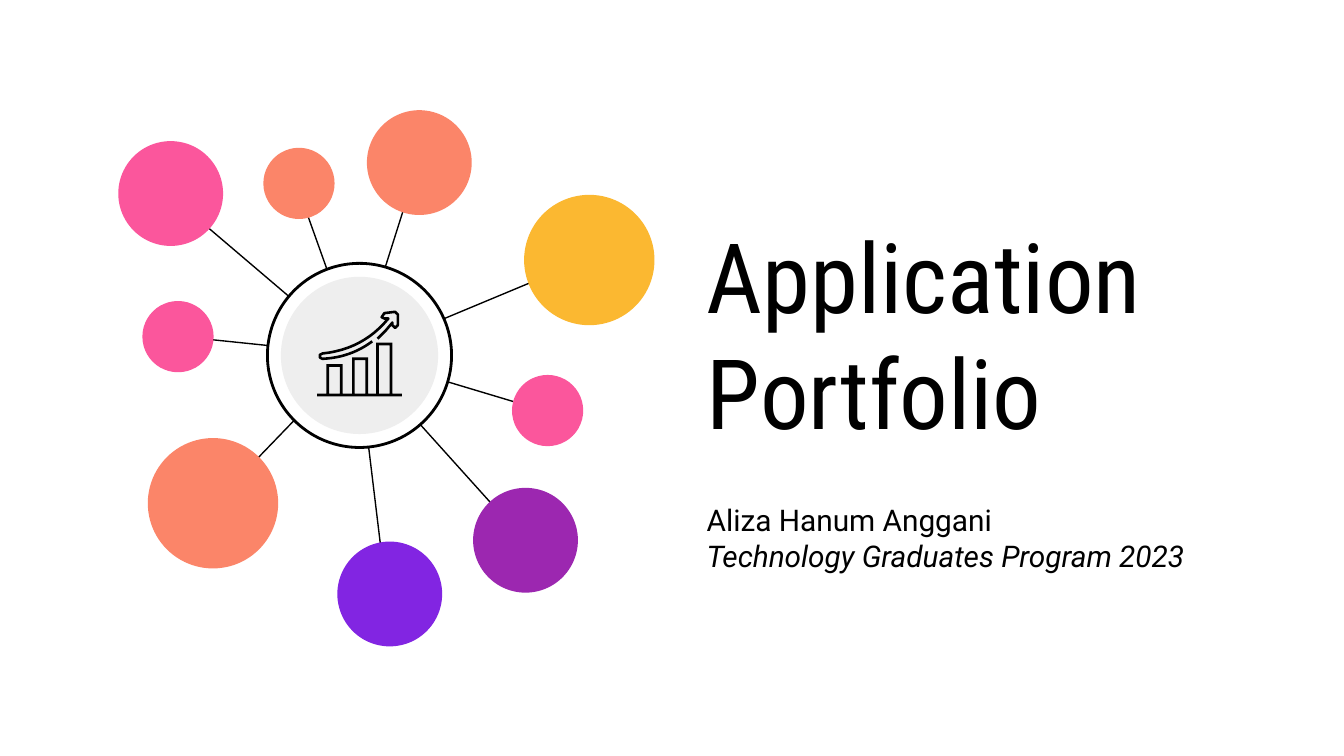
from lxml.etree import SubElement
from pptx import Presentation
from pptx.dml.color import RGBColor
from pptx.enum.shapes import MSO_CONNECTOR, MSO_SHAPE
from pptx.enum.text import MSO_ANCHOR, MSO_AUTO_SIZE, PP_ALIGN
from pptx.oxml.ns import qn
from pptx.util import Inches, Pt

# Content
TITLE = "Application Portfolio"
LINES = [("Aliza Hanum Anggani", False),
         ("Technology Graduates Program 2023", True)]
COLORS = {"black": "000000", "white": "FFFFFF", "gray": "EEEEEE",
          "yellow": "FBB831", "coral": "FB8569", "pink": "FB569C",
          "purple": "9C27B0", "violet": "8225E2"}
SIZES = {"big": 0.97, "mid": 0.78, "small": 0.53}
# Bubbles: left, top, size, colour, start of the spoke
BUBBLES = [
    (3.9, 1.45, "big", "yellow", (4.41, 1.91)),
    (1.1, 3.26, "big", "coral", (1.57, 3.77)),
    (2.73, 0.82, "mid", "coral", (3.11, 1.22)),
    (0.88, 1.05, "mid", "pink", (1.25, 1.44)),
    (3.52, 3.63, "mid", "purple", (3.92, 4.04)),
    (2.51, 4.03, "mid", "violet", (2.88, 4.46)),
    (1.06, 2.24, "small", "pink", (1.31, 2.5)),
    (3.81, 2.79, "small", "pink", (4.06, 3.06)),
    (1.96, 1.1, "small", "coral", (2.21, 1.38)),
]
HUB = (2.66, 2.64)
RINGS = [(1.99, 1.96, 1.37, "white", 1.5), (2.09, 2.06, 1.17, "gray", None)]
# Chart icon: outer left edge and top of each bar, floor from left to right
BARS = [(2.43, 2.71), (2.62, 2.66), (2.8, 2.55)]
BAR_W, EDGE = 0.12, 0.02
FLOOR = (2.36, 2.99, 2.93)
# Arrow: two shaft curves (start, control, end), tail and head corners
LOW = [(2.77, 2.54), (2.61, 2.66), (2.4, 2.67)]
TAIL = [(2.38, 2.66), (2.38, 2.64)]
HIGH = [(2.4, 2.63), (2.7, 2.6), (2.89, 2.37)]
HEAD = [(2.86, 2.37), (2.84, 2.36), (2.86, 2.33), (2.94, 2.32),
        (2.96, 2.34), (2.96, 2.42), (2.94, 2.44), (2.92, 2.42),
        (2.92, 2.4), (2.87, 2.46), (2.81, 2.52)]

prs = Presentation()
prs.slide_width, prs.slide_height = Inches(10), Inches(5.625)
slide = prs.slides.add_slide(prs.slide_layouts[5])
shapes = slide.shapes


def rgb(name):
    return RGBColor.from_string(COLORS[name])


def style(shape, fill=None, width=None):
    shape.shadow.inherit = False
    if fill:
        shape.fill.solid()
        shape.fill.fore_color.rgb = rgb(fill)
    else:
        shape.fill.background()
    if width:
        shape.line.color.rgb = rgb("black")
        shape.line.width = Pt(width)
    else:
        shape.line.fill.background()


def disc(x, y, size, fill, width=None):
    shape = shapes.add_shape(MSO_SHAPE.OVAL,
                             *map(Inches, (x, y, size, size)))
    style(shape, fill, width)


def link(start, end):
    line = shapes.add_connector(MSO_CONNECTOR.STRAIGHT,
                                *map(Inches, (*start, *end)))
    line.line.color.rgb = rgb("black")
    line.line.width = Pt(0.75)
    SubElement(line._element.spPr, qn("a:effectLst"))


def outline(paths, close):
    pen = None
    for path in paths:
        first, *rest = [(Inches(x), Inches(y)) for x, y in path]
        if pen:
            pen.move_to(*first)
        else:
            pen = shapes.build_freeform(*first)
        pen.add_line_segments(rest, close=close)
    return pen.convert_to_shape()


def curve(start, mid, end, steps=12):
    for i in range(steps + 1):
        t = i / steps
        yield tuple((1 - t) ** 2 * a + 2 * t * (1 - t) * b + t * t * c
                    for a, b, c in zip(start, mid, end))


def setup(frame):
    frame.word_wrap = True
    frame.auto_size = MSO_AUTO_SIZE.NONE
    frame.vertical_anchor = MSO_ANCHOR.MIDDLE
    frame.margin_left = frame.margin_right = Inches(0.1)
    frame.margin_top = frame.margin_bottom = Inches(0.1)


def write(para, text, font, size, italic=False):
    para.alignment = PP_ALIGN.LEFT
    run = para.add_run()
    run.text = text
    run.font.name, run.font.size = font, Pt(size)
    run.font.italic = italic
    run.font.color.rgb = rgb("black")


# Title
title = shapes.title
title.left, title.top = Inches(5.16), Inches(1.29)
title.width, title.height = Inches(3.76), Inches(2.37)
setup(title.text_frame)
write(title.text_frame.paragraphs[0], TITLE, "Roboto Condensed", 52)

# Author and program
box = shapes.add_textbox(*map(Inches, (5.16, 3.77, 4.31, 0.46)))
frame = box.text_frame
setup(frame)
for i, (text, italic) in enumerate(LINES):
    para = frame.add_paragraph() if i else frame.paragraphs[0]
    write(para, text, "Roboto", 16, italic)

# Bubbles, each tied to the hub
for x, y, size, fill, start in BUBBLES:
    link(start, HUB)
    disc(x, y, SIZES[size], fill)

# Hub
for ring in RINGS:
    disc(*ring)

# Chart icon: bars on a floor, with the inside of each bar cut out
left, right, top = FLOOR
base = top + EDGE
rim, holes = [(left, base), (left, top)], []
for x, y in BARS:
    end = x + BAR_W
    rim += [(x, top), (x, y), (end, y), (end, top)]
    holes.append([(x + EDGE, top), (end - EDGE, top),
                  (end - EDGE, y + EDGE), (x + EDGE, y + EDGE)])
rim += [(right, top), (right, base)]
style(outline([rim, *holes], True), "black")

# Rising arrow
arrow = [*curve(*LOW), *TAIL, *curve(*HIGH), *HEAD]
style(outline([arrow], False), width=1.4)

prs.save("out.pptx")
